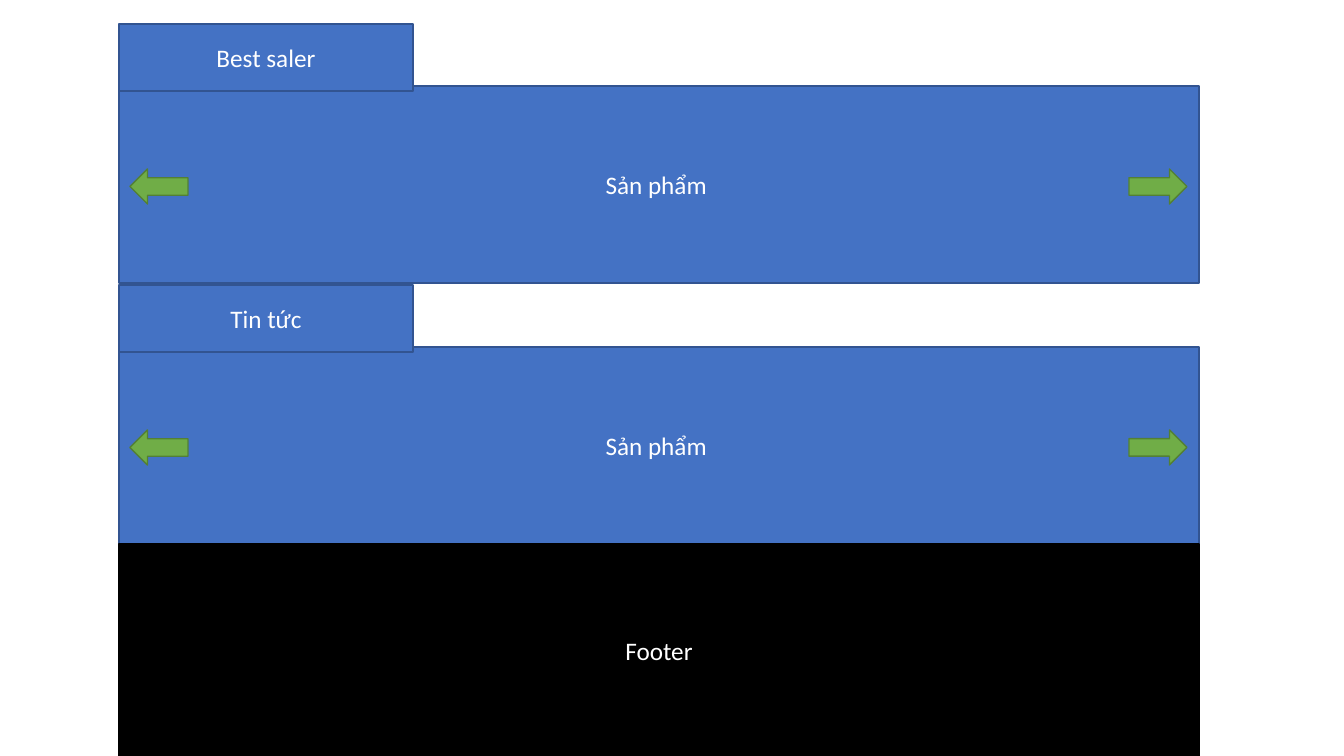
import pptx
import pptx.util
import pptx.dml.color
import pptx.enum.shapes
import pptx.enum.text
from dataclasses import dataclass

SHAPE = pptx.enum.shapes.MSO_SHAPE
SCALE = 914400 / 100.8


@dataclass(frozen=True)
class Theme:
    blue: str = "4472C4"
    navy: str = "325491"
    green: str = "70AD47"
    moss: str = "538035"
    black: str = "000000"
    white: str = "FFFFFF"
    font: str = "Calibri"
    size: int = 18
    line: int = 1


THEME = Theme()
LEFT, WIDTH = 119, 1080
TAB_TOP, STEP = 24, 261


def px(count):
    return pptx.util.Emu(round(count * SCALE))


def color(code):
    return pptx.dml.color.RGBColor.from_string(code)


def add_shape(slide, kind, box, fill, line):
    shape = slide.shapes.add_shape(kind, *map(px, box))
    shape.shadow.inherit = False
    shape.fill.solid()
    shape.fill.fore_color.rgb = color(fill)
    shape.line.color.rgb = color(line)
    shape.line.width = pptx.util.Pt(THEME.line)
    return shape


def set_text(shape, text, size=THEME.size, tint=THEME.white, font=THEME.font):
    frame = shape.text_frame
    frame.word_wrap = True
    frame.vertical_anchor = pptx.enum.text.MSO_ANCHOR.MIDDLE
    para = frame.paragraphs[0]
    para.alignment = pptx.enum.text.PP_ALIGN.CENTER
    run = para.add_run()
    run.text = text
    run.font.size = pptx.util.Pt(size)
    run.font.name = font
    run.font.color.rgb = color(tint)


def add_panel(slide, text, box, fill=THEME.blue, line=THEME.navy):
    set_text(add_shape(slide, SHAPE.RECTANGLE, box, fill, line), text)


def add_arrow(slide, left, top, turn):
    box = (left, top, 58, 35)
    arrow = add_shape(slide, SHAPE.RIGHT_ARROW, box, THEME.green, THEME.moss)
    arrow.rotation = turn


def add_band(slide, label, top):
    add_panel(slide, "Sản phẩm ", (LEFT, top + 62, WIDTH, 197))
    add_panel(slide, label, (LEFT, top, 294, 67))
    for left, turn in ((130, 180), (1129, 0)):
        add_arrow(slide, left, top + 145, turn)


def main():
    deck = pptx.Presentation()
    deck.slide_width, deck.slide_height = px(1344), px(756)
    slide = deck.slides.add_slide(deck.slide_layouts[6])
    for row, label in enumerate(("Best saler", "Tin tức")):
        add_band(slide, label, TAB_TOP + row * STEP)
    add_panel(slide, "Footer", (LEFT, 544, WIDTH, 212), THEME.black, THEME.black)
    deck.save("out.pptx")


if __name__ == "__main__":
    main()
